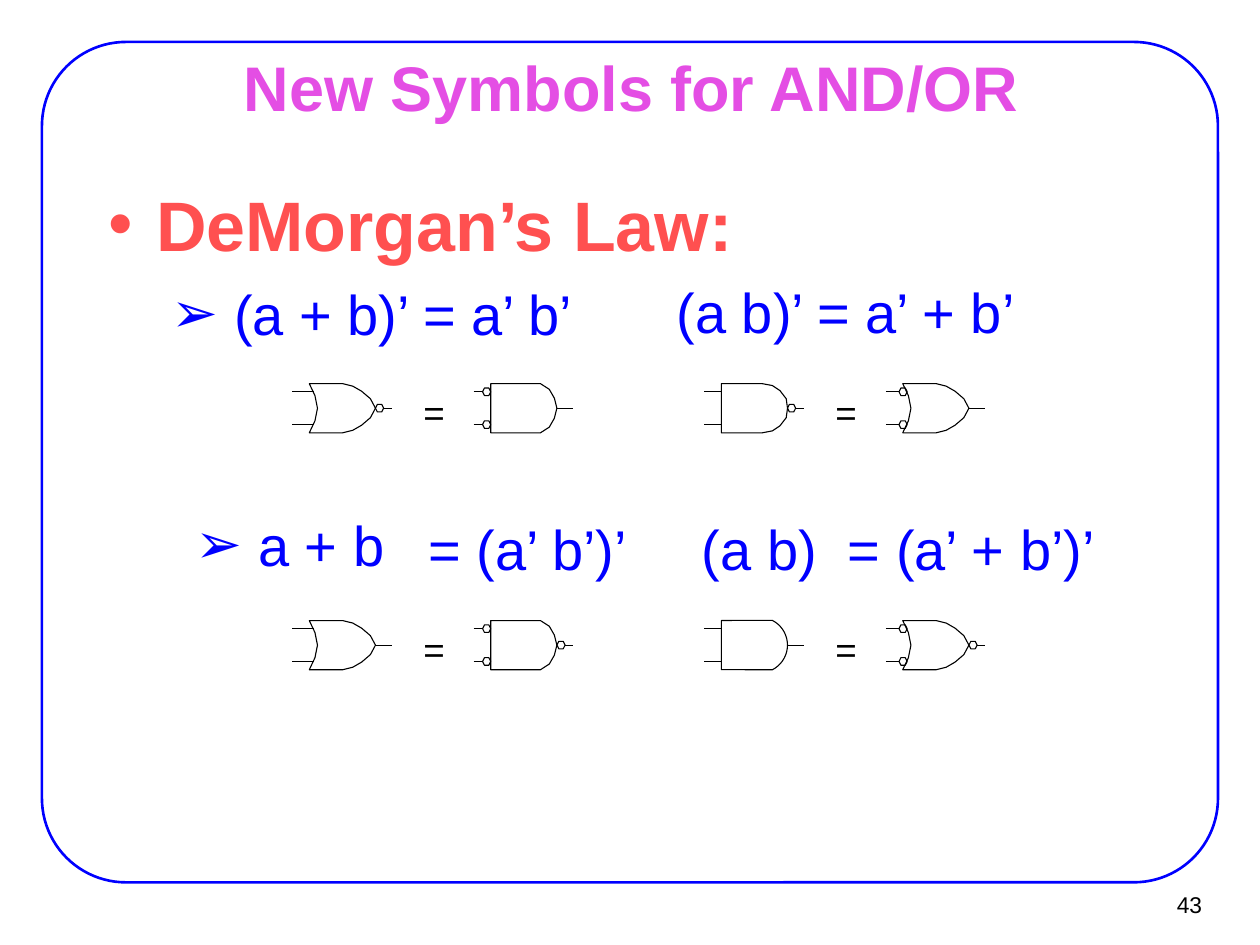
import math

import pptx
import pptx.dml.color
import pptx.enum.shapes
import pptx.enum.text
import pptx.oxml
import pptx.oxml.ns
import pptx.util

RGBColor = pptx.dml.color.RGBColor
Align = pptx.enum.text.PP_ALIGN
Anchor = pptx.enum.text.MSO_ANCHOR

BLUE = RGBColor(0x00, 0x00, 0xFF)
PINK = RGBColor(0xE4, 0x4E, 0xE4)
CORAL = RGBColor(0xFF, 0x50, 0x50)
BLACK = RGBColor(0x00, 0x00, 0x00)
FONT = "Arial"

# The slide is a grid of 100 columns by 75 rows of square cells.
SLIDE_WIDTH, SLIDE_HEIGHT = pptx.util.Inches(10), pptx.util.Inches(7.5)
COLUMNS = 100
CELL = SLIDE_WIDTH // COLUMNS

# Gate parts, in cells from the start of the input leads and the centre line.
HALF_HEIGHT = 1.95
INPUT_OFFSET = 1.3
BACK, TIP, LEAD_END = 1.35, 6.6, 7.9
BUBBLE = 0.65

# Upper half of each gate's front, from the shoulder to the tip.
OR_FRONT = [(4, -1.95), (4.8, -1.75), (5.5, -1.35), (6.2, -0.75), (TIP, 0)]
AND_FRONT = [(5.3, -1.95), (6, -1.5), (6.4, -0.8), (TIP, 0)]
WIDE_AND_FRONT = [(4.6, -1.95), (5.4, -1.8), (6, -1.4), (6.5, -0.75), (TIP, 0)]
ROUND_AND_FRONT = [(4.4 + 2.2 * math.cos(math.radians(angle)),
                    -2.2 * math.sin(math.radians(angle)))
                   for angle in range(63, -1, -7)]
OR_BACK = [(BACK, 1.95), (1.8, 1), (2, 0), (1.8, -1), (BACK, -1.95)]
AND_BACK = [(BACK, HALF_HEIGHT), (BACK, -HALF_HEIGHT)]


def cells(count):
    return pptx.util.Emu(round(count * CELL))


def add_frame(slide):
    frame = slide.shapes.add_shape(
        pptx.enum.shapes.MSO_SHAPE.ROUNDED_RECTANGLE,
        *map(cells, (3.33, 3.33, 93.34, 66.7)))
    frame.adjustments[0] = 0.1
    frame.shadow.inherit = False
    frame.fill.background()
    frame.line.color.rgb = BLUE
    frame.line.width = pptx.util.Pt(1.5)


def add_text_box(shapes, area, insets=(0, 0), anchor=Anchor.TOP, wrap=True):
    """Return the frame of an empty box; insets are (side, top) in cells."""
    frame = shapes.add_textbox(*map(cells, area)).text_frame
    frame.word_wrap = wrap
    frame.vertical_anchor = anchor
    frame.margin_left = frame.margin_right = cells(insets[0])
    frame.margin_top = frame.margin_bottom = cells(insets[1])
    return frame


def write(paragraph, text, size, color, bold=False, align=Align.LEFT):
    paragraph.alignment = align
    run = paragraph.add_run()
    run.text = text
    run.font.name = FONT
    run.font.size = pptx.util.Pt(size)
    run.font.bold = bold
    run.font.color.rgb = color


def add_bullet(paragraph, mark, color, indent, hanging):
    properties = paragraph._p.get_or_add_pPr()
    properties.set("marL", str(cells(indent)))
    properties.set("indent", str(-cells(hanging)))
    namespace = pptx.oxml.ns.nsdecls("a")
    for markup in (
            f'<a:buClr {namespace}><a:srgbClr val="{color}"/></a:buClr>',
            f'<a:buFont {namespace} typeface="{FONT}"/>',
            f'<a:buChar {namespace} char="{mark}"/>'):
        properties.append(pptx.oxml.parse_xml(markup))


def write_law(paragraph, text):
    add_bullet(paragraph, "➢", BLUE, 10, 5)
    write(paragraph, text, 32, BLUE)


def add_law_parts(shapes, top, parts):
    """Set the later parts of a law at their own columns on its line."""
    for left, width, text in parts:
        frame = add_text_box(shapes, (left, top, width, 5), wrap=False)
        write(frame.paragraphs[0], text, 32, BLUE)


def style_ink(line):
    line.color.rgb = BLACK
    line.width = pptx.util.Pt(0.62)


def add_lead(shapes, start, end, y):
    lead = shapes.add_connector(
        pptx.enum.shapes.MSO_CONNECTOR.STRAIGHT,
        cells(start), cells(y), cells(end), cells(y))
    lead._element.spPr.append(pptx.oxml.parse_xml(
        f'<a:effectLst {pptx.oxml.ns.nsdecls("a")}/>'))
    style_ink(lead.line)


def add_outline(shapes, points, left, centre):
    first, *rest = [(cells(left + x), cells(centre + y)) for x, y in points]
    builder = shapes.build_freeform(*first)
    builder.add_line_segments(rest, close=True)
    outline = builder.convert_to_shape()
    outline.shadow.inherit = False
    outline.fill.background()
    style_ink(outline.line)


def add_bubble(shapes, left, centre):
    hexagon = [(0, 0), (0.15, -0.3), (0.5, -0.3),
               (BUBBLE, 0), (0.5, 0.3), (0.15, 0.3)]
    add_outline(shapes, hexagon, left, centre)


def add_gate(shapes, left, centre, back, front, inverts_in, inverts_out):
    lower_front = [(x, -y) for x, y in reversed(front[:-1])]
    add_outline(shapes, back + front + lower_front, left, centre)
    is_or = back is OR_BACK
    contact = 1.7 if is_or else BACK
    for y in (centre - INPUT_OFFSET, centre + INPUT_OFFSET):
        lead_end = contact - BUBBLE if inverts_in else contact
        add_lead(shapes, left, left + lead_end, y)
        if inverts_in:
            add_bubble(shapes, left + lead_end, y)
    if inverts_out:
        add_bubble(shapes, left + TIP, centre)
    output_start = TIP + BUBBLE if inverts_out else TIP
    add_lead(shapes, left + output_start, left + LEAD_END, centre)


def add_equivalence(slide, left, centre, first_gate, second_gate):
    """Group two equal gates with an equals sign between them."""
    shapes = slide.shapes.add_group_shape().shapes
    add_gate(shapes, left, centre, *first_gate)
    add_gate(shapes, left + 14.4, centre, *second_gate)
    frame = add_text_box(shapes, (left + 10.4, centre - 1.45, 1.7, 3.5),
                         wrap=False)
    write(frame.paragraphs[0], "=", 21, BLACK)


def main():
    presentation = pptx.Presentation()
    presentation.slide_width = SLIDE_WIDTH
    presentation.slide_height = SLIDE_HEIGHT
    slide = presentation.slides.add_slide(presentation.slide_layouts[6])
    shapes = slide.shapes

    add_frame(slide)
    number = add_text_box(shapes, (90.2, 69.9, 6.1, 3.7), (0.9, 0.4),
                          Anchor.MIDDLE, wrap=False)
    write(number.paragraphs[0], "43", 13, BLACK, align=Align.RIGHT)
    title = add_text_box(shapes, (7.6, 4.4, 85, 4.9), (1.1, 0.6),
                         Anchor.MIDDLE)
    write(title.paragraphs[0], "New Symbols for AND/OR", 36, PINK, True,
          Align.CENTER)

    body = add_text_box(shapes, (7.5, 13.3, 85, 25.7), (1.1, 1.1))
    heading = body.paragraphs[0]
    add_bullet(heading, "•", CORAL, 3.8, 3.8)
    write(heading, "DeMorgan’s Law:", 40, CORAL, bold=True)
    law = body.add_paragraph()
    law.space_before = pptx.util.Pt(8)
    write_law(law, "(a + b)’ = a’ b’")
    add_law_parts(shapes, 22, [(53.7, 27, "(a b)’ = a’ + b’")])

    inverse = add_text_box(shapes, (9.4, 39.9, 85, 25.7), (1.1, 0.6))
    write_law(inverse.paragraphs[0], "a + b")
    add_law_parts(shapes, 40.8, [(34, 16, "= (a’ b’)’"),
                                 (55.7, 10, "(a b)"),
                                 (67.3, 20, "= (a’ + b’)’")])

    left_pair, right_pair = 23.2, 55.9
    upper_row, lower_row = 32.4, 51.2
    add_equivalence(slide, left_pair, upper_row,
                    (OR_BACK, OR_FRONT, False, True),
                    (AND_BACK, AND_FRONT, True, False))
    add_equivalence(slide, right_pair, upper_row,
                    (AND_BACK, WIDE_AND_FRONT, False, True),
                    (OR_BACK, OR_FRONT, True, False))
    add_equivalence(slide, left_pair, lower_row,
                    (OR_BACK, OR_FRONT, False, False),
                    (AND_BACK, AND_FRONT, True, True))
    add_equivalence(slide, right_pair, lower_row,
                    (AND_BACK, ROUND_AND_FRONT, False, False),
                    (OR_BACK, OR_FRONT, True, True))

    presentation.save("out.pptx")


if __name__ == "__main__":
    main()
